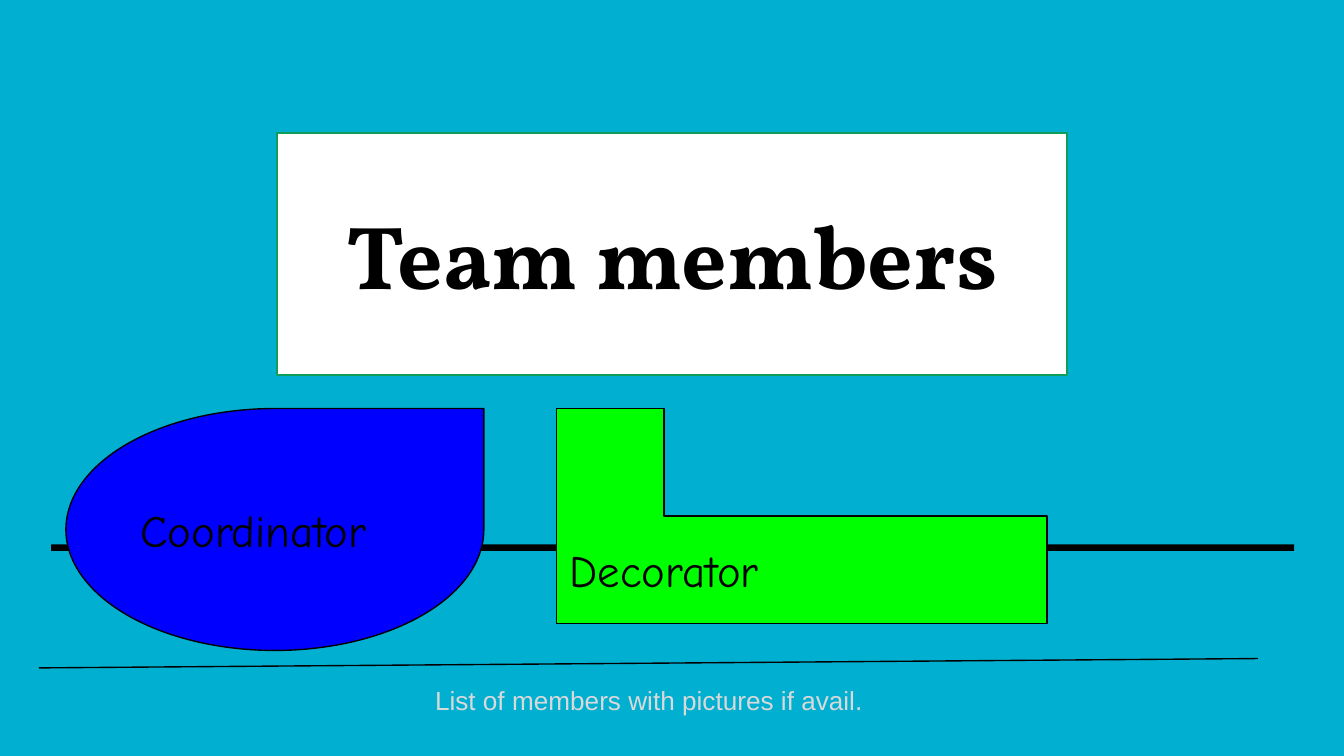
from lxml import etree
from pptx import Presentation
from pptx.dml.color import RGBColor
from pptx.enum.shapes import MSO_CONNECTOR, MSO_SHAPE
from pptx.enum.text import MSO_ANCHOR as Anchor, PP_ALIGN as Align
from pptx.oxml.ns import qn
from pptx.util import Inches, Pt

COLORS = {
    "background": "01AFD1",
    "black": "000000",
    "white": "FFFFFF",
    "title_border": "0F9D58",
    "coordinator": "0000FF",
    "decorator": "00FF00",
    "caption": "D9D9D9",
}


def color(name):
    return RGBColor.from_string(COLORS[name])


def write_text(shape, text, *, font, size, ink="black", bold=False,
               align=Align.LEFT, anchor=Anchor.MIDDLE, inset=0.1):
    frame = shape.text_frame
    frame.word_wrap = True
    frame.vertical_anchor = anchor
    frame.margin_left = frame.margin_right = Inches(0.1)
    frame.margin_top = frame.margin_bottom = Inches(inset)
    paragraph = frame.paragraphs[0]
    paragraph.alignment = align
    run = paragraph.add_run()
    run.text = text
    run.font.name = font
    run.font.size = Pt(size)
    run.font.bold = bold
    run.font.color.rgb = color(ink)


presentation = Presentation()
presentation.slide_width = Inches(10)
presentation.slide_height = Inches(10 * 9 / 16)
slide = presentation.slides.add_slide(presentation.slide_layouts[6])
slide.background.fill.solid()
slide.background.fill.fore_color.rgb = color("background")

role = {"font": "Comic Neue", "size": 24}
title = {"font": "Vollkorn", "size": 48, "bold": True, "align": Align.CENTER}
panels = [
    (MSO_SHAPE.RECTANGLE, (0.38, 4.05, 9.25, 0.05), "black", None, None, None),
    (MSO_SHAPE.RECTANGLE, (2.06, 0.99, 5.88, 1.8), "white", "title_border", "Team members", title),
    (MSO_SHAPE.TEAR, (0.49, 3.04, 3.11, 1.8), "coordinator", "black", "Coordinator", role),
    (MSO_SHAPE.CORNER, (4.14, 3.04, 3.65, 1.6), "decorator", "black", "Decorator", role),
]
for kind, box, fill, border, text, text_format in panels:
    shape = slide.shapes.add_shape(kind, *map(Inches, box))
    shape.shadow.inherit = False
    shape.fill.solid()
    shape.fill.fore_color.rgb = color(fill)
    if border:
        shape.line.color.rgb = color(border)
        shape.line.width = Pt(0.75)
    else:
        shape.line.fill.background()
    if text:
        write_text(shape, text, **text_format)

divider = slide.shapes.add_connector(
    MSO_CONNECTOR.STRAIGHT, Inches(0.29), Inches(4.97), Inches(9.36), Inches(4.9))
divider.line.color.rgb = color("black")
divider.line.width = Pt(0.75)
etree.SubElement(divider._element.spPr, qn("a:effectLst"))

caption = slide.shapes.add_textbox(Inches(0.35), Inches(5.04), Inches(8.96), Inches(0.51))
write_text(caption, "List of members with pictures if avail.", font="Arial", size=14,
           ink="caption", align=Align.CENTER, anchor=Anchor.TOP, inset=0.05)

presentation.save("out.pptx")
